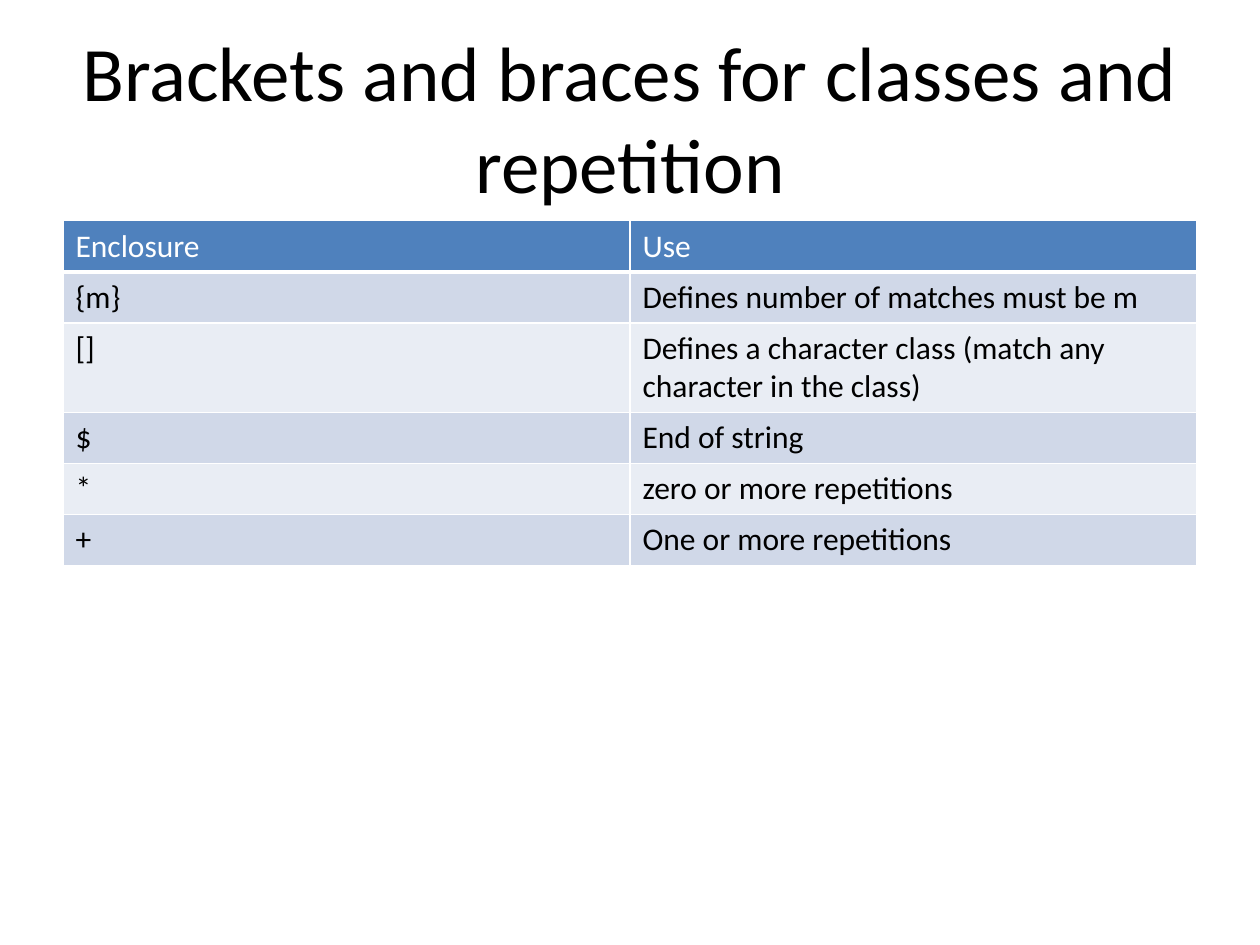
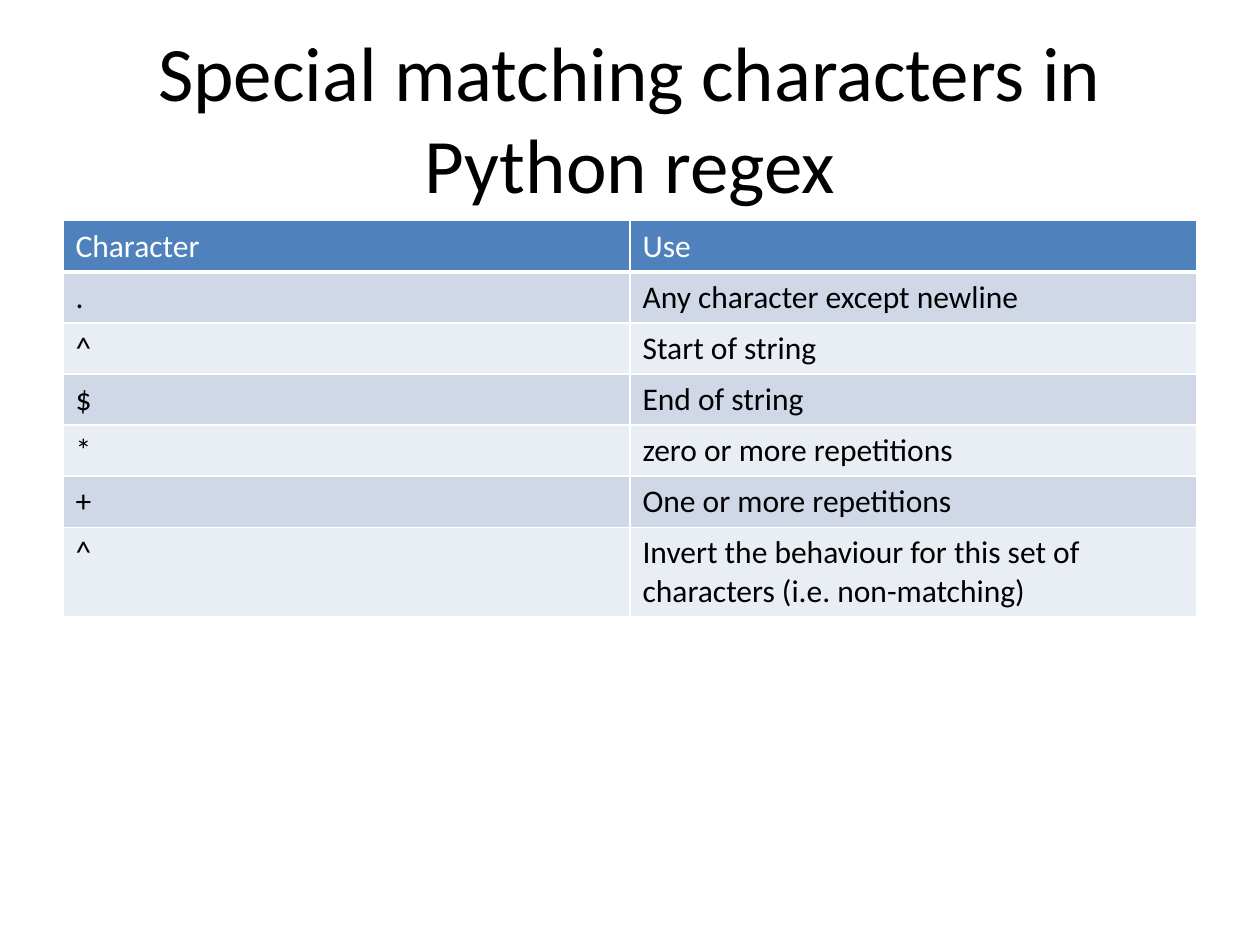
from dataclasses import dataclass

from lxml.etree import SubElement
from pptx import Presentation
from pptx.dml.color import RGBColor as Rgb
from pptx.enum.text import MSO_ANCHOR as Anchor, MSO_AUTO_SIZE as AutoSize, PP_ALIGN as Align
from pptx.oxml.ns import qn
from pptx.util import Cm, Pt


@dataclass(frozen=True)
class Theme:
    """Colours, type sizes and the font shared by both slides."""
    font: str = "Calibri"
    title_size: int = 44
    table_size: int = 18
    ink: str = "000000"
    paper: str = "FFFFFF"
    header: str = "4F81BD"
    bands: tuple = ("D0D8E8", "E9EDF4")
    rule: int = 1
    header_rule: int = 3


THEME = Theme()
LEFT, WIDTH = Cm(1.27), Cm(22.86)
TITLE_FRAME = {"left": LEFT, "top": Cm(0.76), "width": WIDTH, "height": Cm(3.18)}
TABLE_TOP, TABLE_HEIGHT = Cm(4.45), Cm(12.55)

REPETITION_ROWS = [
    ("$", "End of string"),
    ("*", "zero or more repetitions"),
    ("+", "One or more repetitions"),
]
SLIDES = [
    ("Brackets and braces for classes and repetition", [
        ("Enclosure", "Use"),
        ("{m}", "Defines number of matches must be m"),
        ("[]", "Defines a character class (match any character in the class)"),
        *REPETITION_ROWS,
    ]),
    ("Special matching characters in Python regex", [
        ("Character", "Use"),
        (".", "Any character except newline"),
        ("^", "Start of string"),
        *REPETITION_ROWS,
        ("^", "Invert the behaviour for this set of characters (i.e.\u00a0non-matching)"),
    ]),
]


def set_all(target, values):
    """Set every attribute named in a dict of format values."""
    for name, value in values.items():
        setattr(target, name, value)


def write_text(frame, text, size, color, align):
    """Write one formatted paragraph into a text frame."""
    para = frame.paragraphs[0]
    para.alignment = align
    span = para.add_run()
    span.text = text
    set_all(span.font, {"name": THEME.font, "size": Pt(size), "bold": False})
    span.font.color.rgb = Rgb.from_string(color)


def add_title(page, text):
    """Place and fill the title placeholder."""
    box = page.shapes.title
    set_all(box, TITLE_FRAME)
    set_all(box.text_frame, {"word_wrap": True, "auto_size": AutoSize.NONE,
                             "vertical_anchor": Anchor.MIDDLE})
    write_text(box.text_frame, text, THEME.title_size, THEME.ink, Align.CENTER)


def set_borders(cell, bottom):
    """Draw the four cell borders in the paper colour."""
    properties = cell._tc.get_or_add_tcPr()
    for side in "LRTB":
        points = bottom if side == "B" else THEME.rule
        line = SubElement(properties, qn(f"a:ln{side}"), w=str(Pt(points)))
        fill = SubElement(line, qn("a:solidFill"))
        SubElement(fill, qn("a:srgbClr"), val=THEME.paper)


def format_cell(cell, text, row_number):
    """Write a cell as header or banded body, depending on its row."""
    if row_number == 0:
        fill, color, bottom = THEME.header, THEME.paper, THEME.header_rule
    else:
        fill, color, bottom = THEME.bands[(row_number - 1) % 2], THEME.ink, THEME.rule
    set_borders(cell, bottom)
    cell.fill.solid()
    cell.fill.fore_color.rgb = Rgb.from_string(fill)
    write_text(cell.text_frame, text, THEME.table_size, color, Align.LEFT)


def add_reference_table(page, rows):
    """Add a table with equal columns whose rows grow to fit their text."""
    frame = page.shapes.add_table(len(rows), len(rows[0]), LEFT, TABLE_TOP,
                                  WIDTH, TABLE_HEIGHT)
    for row_number, texts in enumerate(rows):
        frame.table.rows[row_number].height = Cm(0)
        for column_number, text in enumerate(texts):
            format_cell(frame.table.cell(row_number, column_number), text, row_number)
    frame.height = TABLE_HEIGHT


def main():
    """Build and save the deck."""
    deck = Presentation()
    set_all(deck, {"slide_width": Cm(25.4), "slide_height": Cm(19.05)})
    title_only = deck.slide_layouts.get_by_name("Title Only")
    for title, rows in SLIDES:
        page = deck.slides.add_slide(title_only)
        add_title(page, title)
        add_reference_table(page, rows)
    deck.save("out.pptx")


main()
